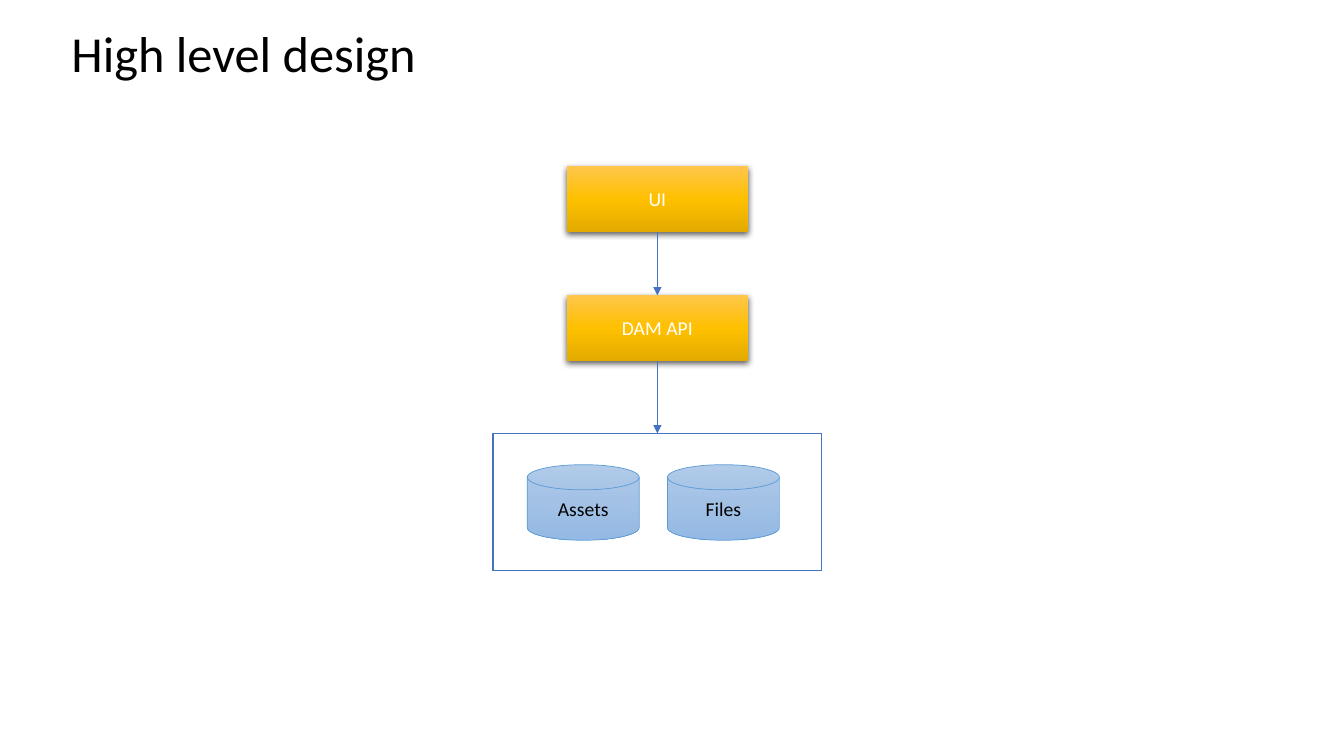
from dataclasses import dataclass

from lxml import etree
from pptx import Presentation
from pptx.dml.color import RGBColor
from pptx.enum import shapes, text
from pptx.oxml import ns
from pptx.util import Inches, Pt

FONT = "Calibri"
WHITE = RGBColor(0xFF, 0xFF, 0xFF)
BLACK = RGBColor(0x00, 0x00, 0x00)
BLUE = RGBColor(0x44, 0x72, 0xC4)
DISK_EDGE = RGBColor(0x5B, 0x9B, 0xD5)
GOLD_STOPS = (
    RGBColor(0xFF, 0xC6, 0x4B),
    RGBColor(0xFF, 0xC0, 0x00),
    RGBColor(0xE3, 0xAB, 0x00),
)
SKY_STOPS = (
    RGBColor(0xB1, 0xCB, 0xE9),
    RGBColor(0xA3, 0xC1, 0xE5),
    RGBColor(0x93, 0xB9, 0xE4),
)

CENTER_X = 6.52
LAYER_WIDTH, LAYER_HEIGHT = 1.8, 0.65
DISK_WIDTH, DISK_HEIGHT = 1.11, 0.75
DISK_LEFT, DISK_TOP, DISK_STEP = 5.23, 4.61, 1.39
STORE_TOP = 4.3


@dataclass(frozen=True)
class Layer:
    label: str
    top: float

    @property
    def bottom(self) -> float:
        return self.top + LAYER_HEIGHT


LAYERS = (Layer("UI", 1.65), Layer("DAM API", 2.93))
DATABASES = ("Assets", "Files")


def add_child(parent, tag: str, **attributes: str):
    return etree.SubElement(parent, ns.qn(tag), attributes)


def write_text(shape, content: str, size: int, color: RGBColor, alignment) -> None:
    frame = shape.text_frame
    frame.word_wrap = True
    frame.vertical_anchor = text.MSO_ANCHOR.MIDDLE
    frame.text = content
    paragraph = frame.paragraphs[0]
    paragraph.alignment = alignment
    font = paragraph.runs[0].font
    font.name, font.size = FONT, Pt(size)
    font.color.rgb = color


def add_plain_shape(slide, kind, left: float, top: float, width: float, height: float):
    shape = slide.shapes.add_shape(
        kind, Inches(left), Inches(top), Inches(width), Inches(height)
    )
    shape.shadow.inherit = False
    return shape


def fill_gradient(shape, colors: tuple[RGBColor, ...]) -> None:
    shape.fill.gradient()
    shape.fill.gradient_angle = 270
    stops = shape._element.spPr.find(".//" + ns.qn("a:gsLst"))
    for stop in list(stops):
        stops.remove(stop)
    for index, color in enumerate(colors):
        position = 100000 * index // (len(colors) - 1)
        stop = add_child(stops, "a:gs", pos=str(position))
        add_child(stop, "a:srgbClr", val=str(color))


def add_drop_shadow(shape) -> None:
    effects = shape._element.spPr.find(ns.qn("a:effectLst"))
    shadow = add_child(
        effects, "a:outerShdw", blurRad=str(Pt(4.5)), dist=str(Pt(1.5)),
        dir="5400000", algn="ctr", rotWithShape="0",
    )
    color = add_child(shadow, "a:srgbClr", val=str(BLACK))
    add_child(color, "a:alpha", val="63000")


def draw_title(slide, content: str) -> None:
    title = slide.shapes.add_textbox(
        Inches(0.61), Inches(-0.01), Inches(12.11), Inches(1.14)
    )
    write_text(title, content, 36, BLACK, text.PP_ALIGN.LEFT)
    title.text_frame.paragraphs[0].line_spacing = 0.9


def draw_store(slide) -> None:
    store = add_plain_shape(
        slide, shapes.MSO_SHAPE.RECTANGLE, 4.89, STORE_TOP, 3.26, 1.36
    )
    store.fill.solid()
    store.fill.fore_color.rgb = WHITE
    store.line.color.rgb = BLUE
    store.line.width = Pt(1)


def draw_layer(slide, layer: Layer) -> None:
    box = add_plain_shape(
        slide, shapes.MSO_SHAPE.RECTANGLE, CENTER_X - LAYER_WIDTH / 2,
        layer.top, LAYER_WIDTH, LAYER_HEIGHT,
    )
    fill_gradient(box, GOLD_STOPS)
    box.line.fill.background()
    add_drop_shadow(box)
    write_text(box, layer.label, 14, WHITE, text.PP_ALIGN.CENTER)


def draw_database(slide, label: str, left: float) -> None:
    disk = add_plain_shape(
        slide, shapes.MSO_SHAPE.FLOWCHART_MAGNETIC_DISK,
        left, DISK_TOP, DISK_WIDTH, DISK_HEIGHT,
    )
    fill_gradient(disk, SKY_STOPS)
    disk.line.color.rgb = DISK_EDGE
    disk.line.width = Pt(0.5)
    write_text(disk, label, 14, BLACK, text.PP_ALIGN.CENTER)


def draw_arrow(slide, start: float, end: float) -> None:
    arrow = slide.shapes.add_connector(
        shapes.MSO_CONNECTOR.STRAIGHT,
        Inches(CENTER_X), Inches(start), Inches(CENTER_X), Inches(end),
    )
    arrow.line.color.rgb = BLUE
    arrow.line.width = Pt(0.5)
    add_child(arrow.line._get_or_add_ln(), "a:tailEnd", type="triangle")
    add_child(arrow._element.spPr, "a:effectLst")


def main() -> None:
    presentation = Presentation()
    presentation.slide_width = Inches(13.33)
    presentation.slide_height = Inches(7.5)
    slide = presentation.slides.add_slide(presentation.slide_layouts[6])

    draw_store(slide)
    draw_title(slide, "High level design")
    for layer in LAYERS:
        draw_layer(slide, layer)
    for index, label in enumerate(DATABASES):
        draw_database(slide, label, DISK_LEFT + index * DISK_STEP)
    targets = [layer.top for layer in LAYERS[1:]] + [STORE_TOP]
    for layer, target in zip(LAYERS, targets):
        draw_arrow(slide, layer.bottom, target)

    presentation.save("out.pptx")


main()
